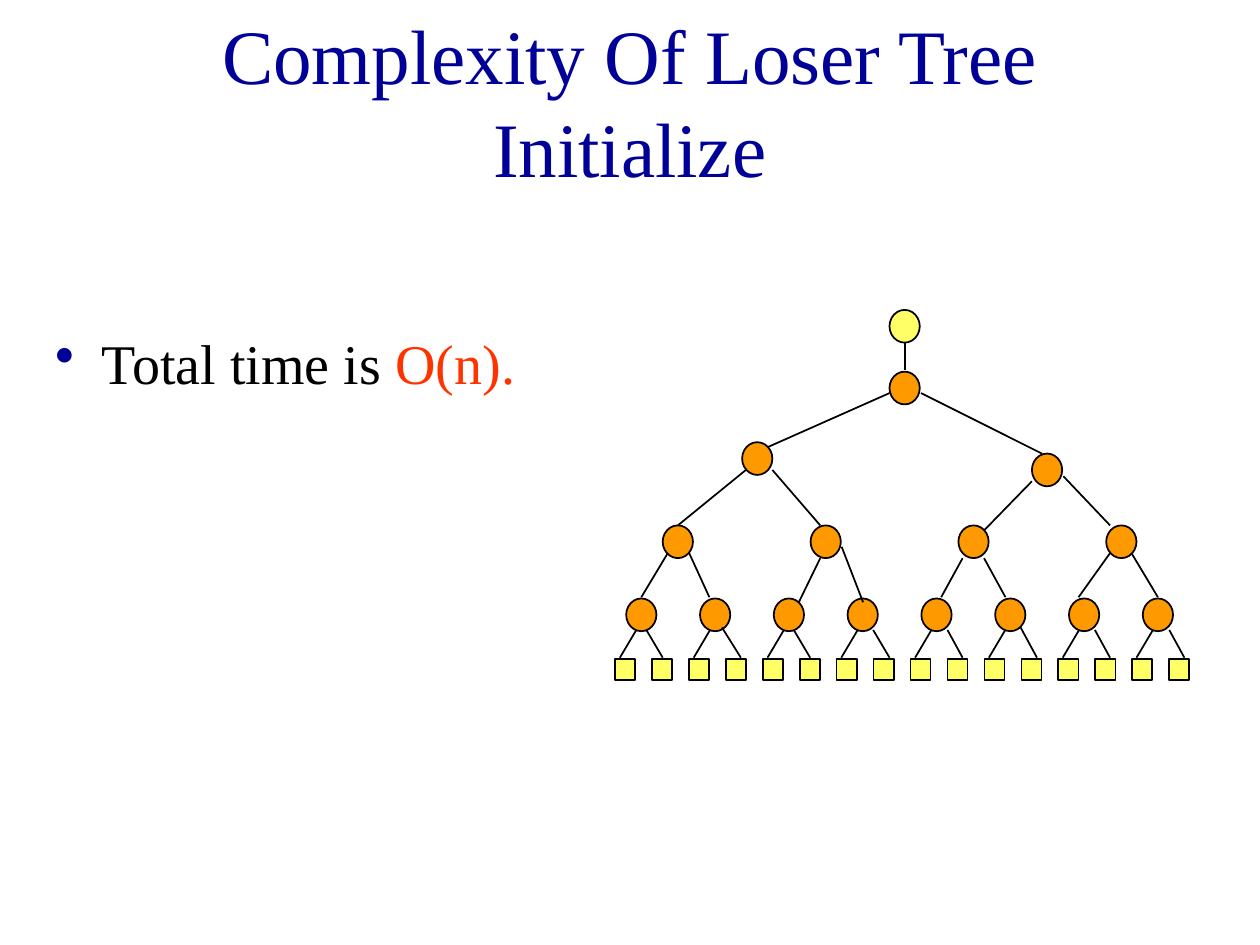
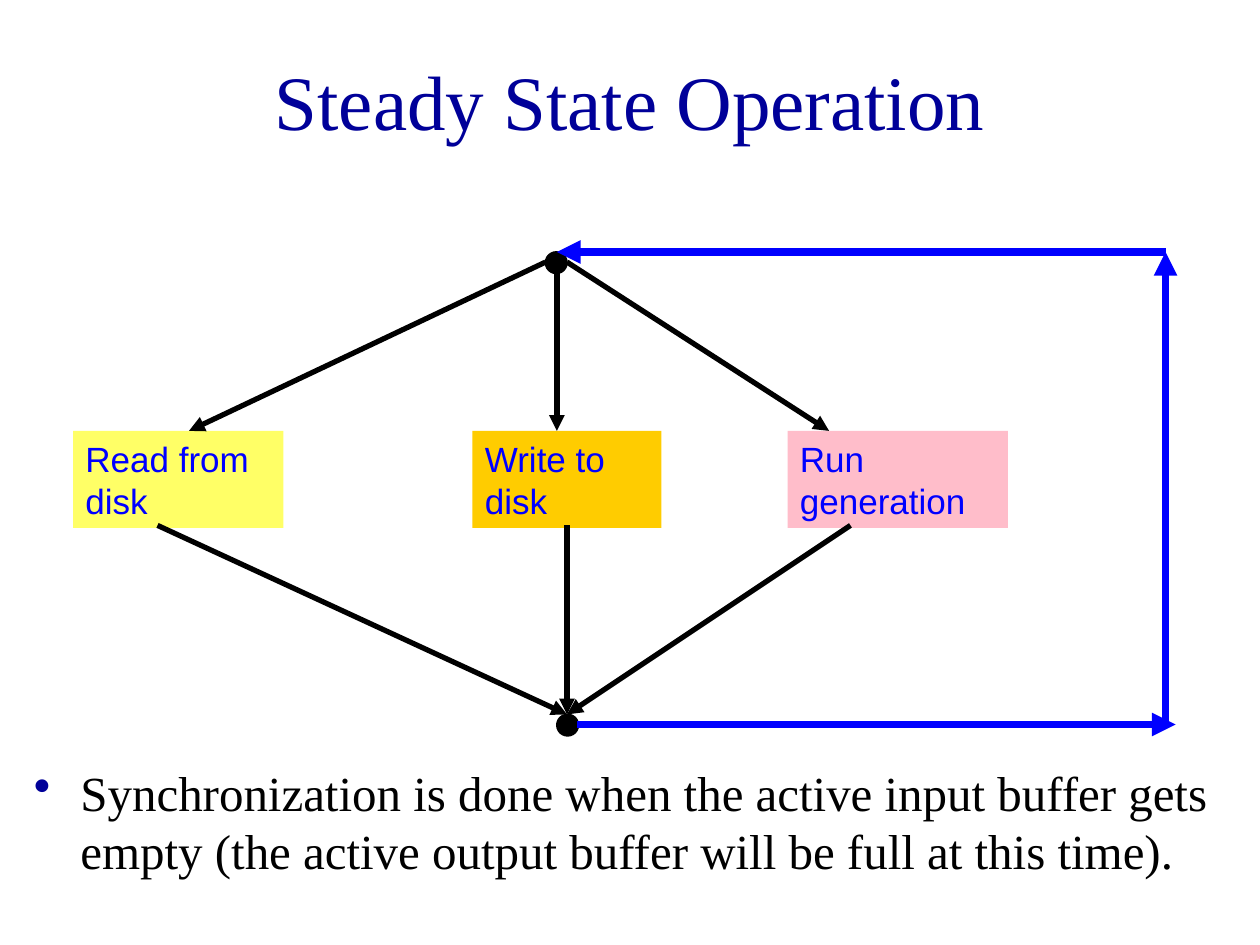
import pptx
import pptx.util
import pptx.dml.color
import pptx.enum.shapes
import pptx.enum.text
import pptx.oxml.ns
from lxml import etree

Inches = pptx.util.Inches
Pt = pptx.util.Pt
SHAPES = pptx.enum.shapes.MSO_SHAPE
COLORS = {
    "navy": "000099", "black": "000000", "red": "FF3300", "blue": "0000FF",
    "yellow": "FFFF66", "orange": "FF9900", "gold": "FFCC00", "pink": "FFBDCA",
    "white": "FFFFFF",
}
RGB = {name: pptx.dml.color.RGBColor.from_string(code) for name, code in COLORS.items()}


def add_box(slide, kind, left, top, width, height, fill, outline=None):
    box = slide.shapes.add_shape(kind, Inches(left), Inches(top), Inches(width), Inches(height))
    box.shadow.inherit = False
    box.fill.solid()
    box.fill.fore_color.rgb = RGB[fill]
    if outline:
        box.line.color.rgb = RGB[outline]
        box.line.width = Pt(1)
    else:
        box.line.fill.background()
    return box


def add_edge(slide, x1, y1, x2, y2, color="black", width=1, arrow=False):
    edge = slide.shapes.add_connector(
        pptx.enum.shapes.MSO_CONNECTOR.STRAIGHT, Inches(x1), Inches(y1), Inches(x2), Inches(y2))
    edge.line.color.rgb = RGB[color]
    edge.line.width = Pt(width)
    if arrow:
        etree.SubElement(edge.line._get_or_add_ln(), pptx.oxml.ns.qn("a:tailEnd"), type="triangle")
    etree.SubElement(edge._element.spPr, pptx.oxml.ns.qn("a:effectLst"))


deck = pptx.Presentation()
deck.slide_width, deck.slide_height = Inches(10), Inches(7.5)

pages = [
    ("Complexity Of Loser Tree Initialize", (0.34, 2.56, 8.5, 0.76), 32,
     [("Total time is ", "black"), ("O(n).", "red")]),
    ("Steady State Operation", (0.17, 6, 9.58, 1.33), 28,
     [("Synchronization is done when the active input buffer gets empty "
       "(the active output buffer will be full at this time).", "black")]),
]
slides = []
for heading, bullet_place, size, pieces in pages:
    slide = deck.slides.add_slide(deck.slide_layouts[5])
    slides.append(slide)
    title = slide.shapes.title
    title.left, title.top, title.width, title.height = map(Inches, (0.75, 0.17, 8.5, 1.25))
    title.text_frame.text = heading
    title.text_frame.auto_size = pptx.enum.text.MSO_AUTO_SIZE.NONE
    title.text_frame.vertical_anchor = pptx.enum.text.MSO_ANCHOR.MIDDLE
    heading_line = title.text_frame.paragraphs[0]
    heading_line.alignment = pptx.enum.text.PP_ALIGN.CENTER
    heading_line.font.name = "Times New Roman"
    heading_line.font.size = Pt(44)
    heading_line.font.color.rgb = RGB["navy"]

    statement = slide.shapes.add_textbox(*map(Inches, bullet_place))
    statement.text_frame.word_wrap = True
    point = statement.text_frame.paragraphs[0]
    point.space_before = Pt(4)
    point.font.name = "Times New Roman"
    point.font.size = Pt(size)
    for words, color in pieces:
        run = point.add_run()
        run.text = words
        run.font.color.rgb = RGB[color]
    props = point._p.get_or_add_pPr()
    props.set("marL", str(Inches(0.37)))
    props.set("indent", str(Inches(-0.37)))
    bullet_color = etree.Element(pptx.oxml.ns.qn("a:buClr"))
    etree.SubElement(bullet_color, pptx.oxml.ns.qn("a:srgbClr"), val=COLORS["navy"])
    bullet = etree.Element(pptx.oxml.ns.qn("a:buChar"), char="•")
    position = len(props.findall(pptx.oxml.ns.qn("a:spcBef")))
    props.insert(position, bullet_color)
    props.insert(position + 1, bullet)

tree, cycle = slides

for leaf in range(16):
    add_box(tree, SHAPES.RECTANGLE, 4.88 + leaf * 4.4 / 15, 5.23, 0.16, 0.17, "yellow", "black")
matches = [(4.97 + i * 4.1 / 7, 4.75) for i in range(8)]
matches += [(5.26 + i * 3.52 / 3, 4.17) for i in range(4)]
matches += [(5.89, 3.51), (8.19, 3.6), (7.06, 2.95)]
for left, top in matches:
    add_box(tree, SHAPES.OVAL, left, top, 0.24, 0.26, "orange", "black")
add_box(tree, SHAPES.OVAL, 7.06, 2.46, 0.24, 0.26, "yellow", "black")

branches = [
    (7.18, 2.72, 7.18, 2.94),
    (7.06, 3.12, 6.09, 3.55), (7.31, 3.12, 8.27, 3.6),
    (5.92, 3.73, 5.38, 4.17), (6.13, 3.73, 6.51, 4.17),
    (8.19, 3.82, 7.81, 4.21), (8.44, 3.78, 8.81, 4.17),
    (5.3, 4.39, 5.09, 4.74), (5.47, 4.39, 5.63, 4.74),
    (6.51, 4.43, 6.34, 4.78), (6.68, 4.34, 6.85, 4.78),
    (7.64, 4.43, 7.47, 4.74), (7.81, 4.43, 7.98, 4.74),
    (8.81, 4.39, 8.56, 4.74), (8.98, 4.39, 9.19, 4.74),
    (5.13, 5, 5.26, 5.22), (5.73, 4.98, 5.88, 5.22),
    (6.3, 5, 6.43, 5.22), (6.93, 5, 7.06, 5.22),
    (7.52, 5, 7.64, 5.22), (8.1, 4.98, 8.23, 5.22),
    (8.69, 5, 8.81, 5.22), (9.28, 5, 9.4, 5.22),
]
for left, top in matches[:8]:
    branches.append((left + 0.08, 5, left - 0.05, 5.22))
for branch in branches:
    add_edge(tree, *branch)

for task, left, width, fill in [
    ("Read from disk", 0.58, 1.67, "yellow"),
    ("Write to disk", 3.75, 1.5, "gold"),
    ("Run generation", 6.25, 1.75, "pink"),
]:
    step = add_box(cycle, SHAPES.RECTANGLE, left, 3.42, width, 0.77, fill)
    step.text_frame.text = task
    step.text_frame.word_wrap = True
    step.text_frame.vertical_anchor = pptx.enum.text.MSO_ANCHOR.TOP
    label = step.text_frame.paragraphs[0]
    label.alignment = pptx.enum.text.PP_ALIGN.LEFT
    label.font.name = "Arial"
    label.font.size = Pt(20)
    label.font.color.rgb = RGB["blue"]

for left, top in [(4.33, 2), (4.42, 5.67)]:
    add_box(cycle, SHAPES.OVAL, left, top, 0.17, 0.17, "black", "black")
for join_x in (1.25, 6.75, 4.5):
    add_edge(cycle, join_x, 4.17, 4.5, 5.67, width=3, arrow=True)
for fork in [(4.33, 2.08, 1.5, 3.42), (4.42, 2.17, 4.42, 3.42), (4.5, 2.08, 6.58, 3.42)]:
    add_edge(cycle, *fork, width=3, arrow=True)
for loop in [(4.58, 5.75, 9.33, 5.75), (9.25, 5.75, 9.25, 2), (9.25, 2, 4.42, 2)]:
    add_edge(cycle, *loop, color="blue", width=4.5, arrow=True)

deck.save("out.pptx")
